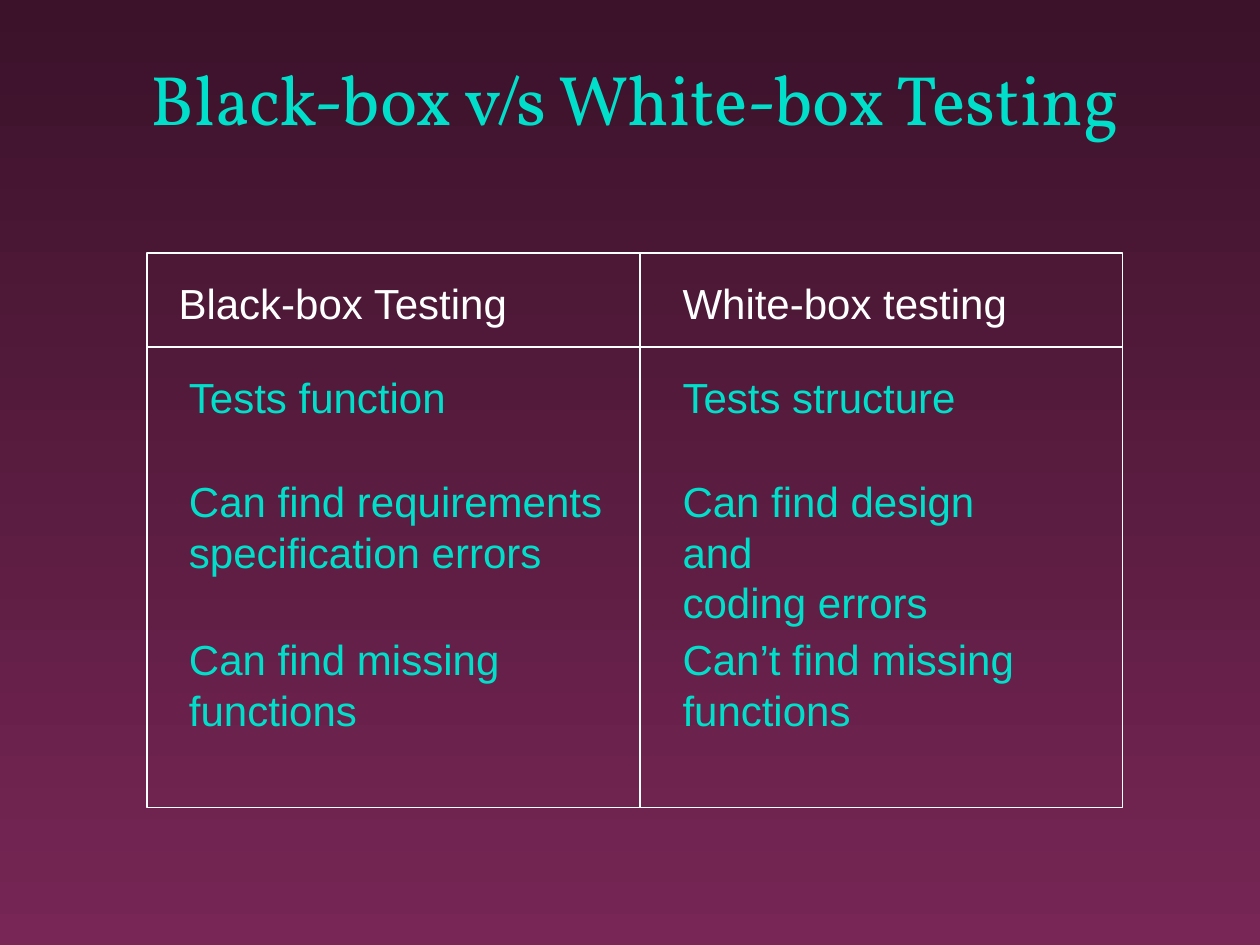
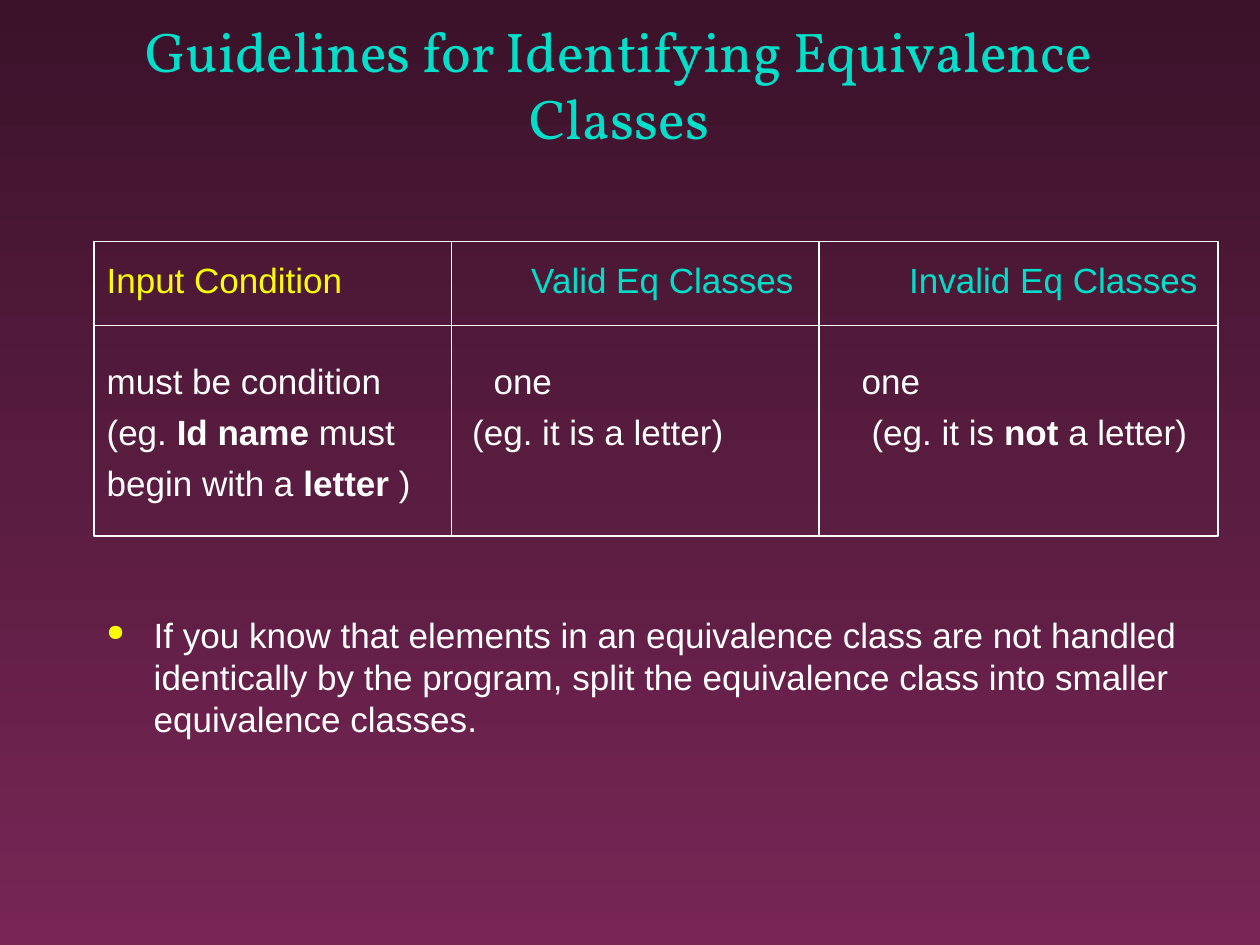
"""Build two slides on software testing methods."""
from pptx import Presentation
from pptx import util as u
from pptx.dml.color import RGBColor
from pptx.enum import shapes, text
from pptx.oxml.ns import qn
from lxml import etree

DUSK = RGBColor(0x3B, 0x12, 0x2A)
PLUM = RGBColor(0x77, 0x26, 0x55)
TEAL = RGBColor(0x00, 0xDF, 0xCA)
GOLD = RGBColor(0xFA, 0xFD, 0x00)
WHITE = RGBColor(0xFF, 0xFF, 0xFF)


class Deck:
    def __init__(self):
        self.prs = Presentation()
        self.prs.slide_width, self.prs.slide_height = u.Cm(25.4), u.Cm(19.05)
        fill = self.prs.slide_master.background.fill
        fill.gradient()
        fill.gradient_angle = 270
        for stop, tone in zip(fill.gradient_stops, (DUSK, PLUM)):
            stop.color.rgb = tone

    def page(self, title, left, top, width, size):
        self.slide = self.prs.slides.add_slide(self.prs.slide_layouts[6])
        frame = self.box(left, top, width, 2.74)
        frame.vertical_anchor = text.MSO_ANCHOR.BOTTOM
        para = frame.paragraphs[0]
        para.alignment = text.PP_ALIGN.CENTER
        self.run(para, title, size, TEAL, face="Vollkorn")

    def box(self, left, top, width, height):
        area = map(u.Cm, (left, top, width, height))
        frame = self.slide.shapes.add_textbox(*area).text_frame
        frame.word_wrap = True
        return frame

    def run(self, para, words, size, tone, bold=False, face="Arial"):
        run = para.add_run()
        run.text = words
        font = run.font
        font.name, font.size, font.bold = face, u.Pt(size), bold
        font.color.rgb = tone

    def line(self, x1, y1, x2, y2):
        ends = map(u.Cm, (x1, y1, x2, y2))
        rule = self.slide.shapes.add_connector(shapes.MSO_CONNECTOR.STRAIGHT, *ends)
        rule.line.color.rgb, rule.line.width = WHITE, u.Pt(1)
        etree.SubElement(rule._element.spPr, qn("a:effectLst"))

    def grid(self, left, top, width, height, head, splits):
        area = map(u.Cm, (left, top, width, height))
        rect = self.slide.shapes.add_shape(shapes.MSO_SHAPE.RECTANGLE, *area)
        rect.shadow.inherit = False
        rect.fill.background()
        rect.line.color.rgb, rect.line.width = WHITE, u.Pt(1)
        self.line(left, head, left + width, head)
        for x in splits:
            self.line(x, top, x, top + height)

    def cell(self, left, top, width, lines, tone):
        frame = self.box(left, top, width, 0.25 + 1.02 * len(lines))
        for i, words in enumerate(lines):
            para = frame.add_paragraph() if i else frame.paragraphs[0]
            self.run(para, words, 24, tone)

    def tabs(self, para, stops):
        tabs = etree.SubElement(para._p.get_or_add_pPr(), qn("a:tabLst"))
        for x in stops:
            etree.SubElement(tabs, qn("a:tab"), pos=str(u.Cm(x)), algn="l")

    def bullet(self, para, indent):
        props = para._p.get_or_add_pPr()
        props.set("marL", str(u.Cm(indent)))
        props.set("indent", str(-u.Cm(indent)))
        tint = etree.SubElement(props, qn("a:buClr"))
        etree.SubElement(tint, qn("a:srgbClr"), val=str(GOLD))
        etree.SubElement(props, qn("a:buSzPct"), val="65000")
        etree.SubElement(props, qn("a:buChar"), char="●")


def contrast(deck):
    deck.page("Black-box v/s White-box Testing", 1.9, 0.2, 21.8, 40)
    deck.grid(2.97, 5.1, 19.66, 11.18, 6.99, [12.9])
    rows = [
        (5.46, WHITE, 3.35, (7.47, ["Black-box Testing"]), (7.04, ["White-box testing"])),
        (7.37, TEAL, 3.56, (5.77, ["Tests function"]), (6.1, ["Tests structure"])),
        (9.47, TEAL, 3.56, (9.07, ["Can find requirements", "specification errors"]),
         (8.03, ["Can find design and", "coding errors"])),
        (12.65, TEAL, 3.56, (7.01, ["Can find missing", "functions"]),
         (7.42, ["Can’t find missing", "functions"])),
    ]
    for top, tone, left, black, white in rows:
        for x, (width, lines) in ((left, black), (13.51, white)):
            deck.cell(x, top, width, lines, tone)


def guide(deck):
    deck.page("Guidelines for Identifying Equivalence Classes", 1.27, 0.43, 22.43, 32)
    rows = [
        (0, (8.56, 16.18), [("Input Condition\t", GOLD, False),
                            ("Valid Eq Classes\tInvalid Eq Classes", TEAL, False)]),
        (34, (7.8, 15.22), [("must be condition\tone\tone", WHITE, False)]),
        (5, (7.37, 15.42), [("(eg. ", WHITE, False), ("Id name", WHITE, True),
                            (" must\t(eg. it is a letter)\t(eg. it is ", WHITE, False),
                            ("not", WHITE, True), (" a letter)", WHITE, False)]),
        (5, (), [("begin with a ", WHITE, False), ("letter", WHITE, True),
                 (" )", WHITE, False)]),
        (63, (), [("If you know that elements in an equivalence class are not handled "
                   "identically by the program, split the equivalence class into "
                   "smaller equivalence classes.", WHITE, False)]),
    ]
    frame = deck.box(1.9, 5.08, 22.66, 12.5)
    for i, (gap, stops, runs) in enumerate(rows):
        para = frame.add_paragraph() if i else frame.paragraphs[0]
        if gap:
            para.space_before = u.Pt(gap)
        if stops:
            deck.tabs(para, stops)
        if i == len(rows) - 1:
            deck.bullet(para, 0.95)
        for words, tone, bold in runs:
            deck.run(para, words, 20, tone, bold)
    deck.grid(1.9, 4.87, 22.66, 5.93, 6.56, [9.1, 16.51])


def main():
    deck = Deck()
    contrast(deck)
    guide(deck)
    deck.prs.save("out.pptx")


if __name__ == "__main__":
    main()
